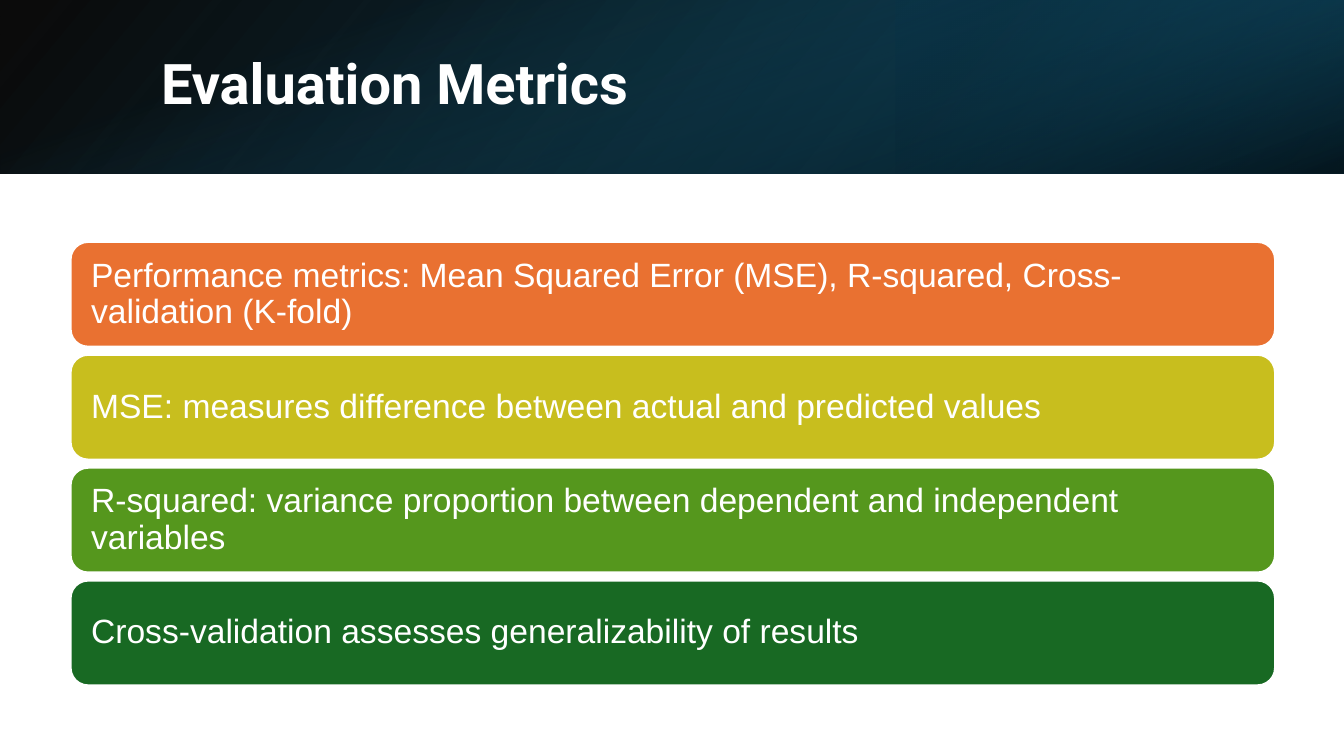
from lxml import etree
from pptx import Presentation
from pptx import util as u
from pptx.dml.color import RGBColor
from pptx.enum import shapes, text
from pptx.oxml import ns

WIDTH, HEIGHT = 960, 540
BAND_HEIGHT = 123.84
ROW_LEFT, ROW_TOP, ROW_WIDTH, ROW_HEIGHT, ROW_PITCH = 50.4, 172.8, 860.4, 74.9, 80.64
ROWS = [
    ("Performance metrics: Mean Squared Error (MSE), R-squared, Cross-validation (K-fold)", "E97131"),
    ("MSE: measures difference between actual and predicted values", "C8BE1E"),
    ("R-squared: variance proportion between dependent and independent variables", "55971D"),
    ("Cross-validation assesses generalizability of results", "186923"),
]


def color(value):
    return RGBColor.from_string(value)


class MetricsSlide:
    heading_font = "Roboto"
    body_font = "Arial"
    white = "FFFFFF"

    def __init__(self, prs):
        self.s = prs.slides.add_slide(prs.slide_layouts[6])
        self.s.background.fill.solid()
        self.s.background.fill.fore_color.rgb = color(self.white)

    def shape(self, kind, box):
        sp = self.s.shapes.add_shape(kind, *map(u.Pt, box))
        sp.shadow.inherit = False
        return sp

    def label(self, sp, words, font, size, bold, inset_x, inset_y):
        tf = sp.text_frame
        tf.text = words
        tf.word_wrap = True
        tf.vertical_anchor = text.MSO_ANCHOR.MIDDLE
        tf.margin_left = tf.margin_right = u.Pt(inset_x)
        tf.margin_top = tf.margin_bottom = u.Pt(inset_y)
        p = tf.paragraphs[0]
        p.alignment = text.PP_ALIGN.LEFT
        p.line_spacing = 0.9
        r = p.runs[0]
        r.font.name = font
        r.font.size = u.Pt(size)
        r.font.bold = bold
        r.font.color.rgb = color(self.white)

    def gradient(self, box, stops, angle, rotation=0, flip=False):
        sp = self.shape(shapes.MSO_SHAPE.RECTANGLE, box)
        sp.line.fill.background()
        sp.rotation = rotation
        xfrm = sp.element.spPr.find(ns.qn("a:xfrm"))
        if flip:
            xfrm.set("flipH", "1")
        sp.fill.gradient()
        grad = sp.element.spPr.find(ns.qn("a:gradFill"))
        for child in list(grad):
            grad.remove(child)
        grad.set("rotWithShape", "1")
        stop_list = etree.SubElement(grad, ns.qn("a:gsLst"))
        for position, value, opacity in stops:
            stop = etree.SubElement(stop_list, ns.qn("a:gs"), pos=str(position * 1000))
            rgb = etree.SubElement(stop, ns.qn("a:srgbClr"), val=value)
            etree.SubElement(rgb, ns.qn("a:alpha"), val=str(opacity * 1000))
        etree.SubElement(grad, ns.qn("a:lin"), ang=str(angle * 60000), scaled="0")

    def title(self, words, box):
        sp = self.s.shapes.add_textbox(*map(u.Pt, box))
        self.label(sp, words, self.heading_font, 40, True, 7.2, 3.6)

    def row(self, words, fill, box):
        sp = self.shape(shapes.MSO_SHAPE.ROUNDED_RECTANGLE, box)
        sp.adjustments[0] = 0.167
        sp.fill.solid()
        sp.fill.fore_color.rgb = color(fill)
        sp.line.color.rgb = color(self.white)
        sp.line.width = u.Pt(1.5)
        self.label(sp, words, self.body_font, 24, False, 11, 7.2)


def main():
    prs = Presentation()
    prs.slide_width, prs.slide_height = u.Pt(WIDTH), u.Pt(HEIGHT)
    slide = MetricsSlide(prs)
    slide.gradient((0, 0, WIDTH, BAND_HEIGHT),
                   [(0, "000000", 96), (100, "0F4861", 100)], 140, flip=True)
    slide.gradient((WIDTH * 2 / 3, 0, WIDTH / 3, BAND_HEIGHT),
                   [(0, "0A3041", 68), (19, "0A3041", 68), (100, "156082", 79)],
                   320, rotation=180, flip=True)
    offset = (WIDTH - BAND_HEIGHT) / 2
    slide.gradient((offset, -offset, BAND_HEIGHT, WIDTH),
                   [(0, "156082", 0), (23, "156082", 0), (99, "000000", 74), (100, "000000", 74)],
                   340, rotation=90)
    slide.title("Evaluation Metrics", (108, 27.4, 790.6, 69.1))
    for i, (words, fill) in enumerate(ROWS):
        slide.row(words, fill, (ROW_LEFT, ROW_TOP + i * ROW_PITCH, ROW_WIDTH, ROW_HEIGHT))
    prs.save("out.pptx")


if __name__ == "__main__":
    main()
